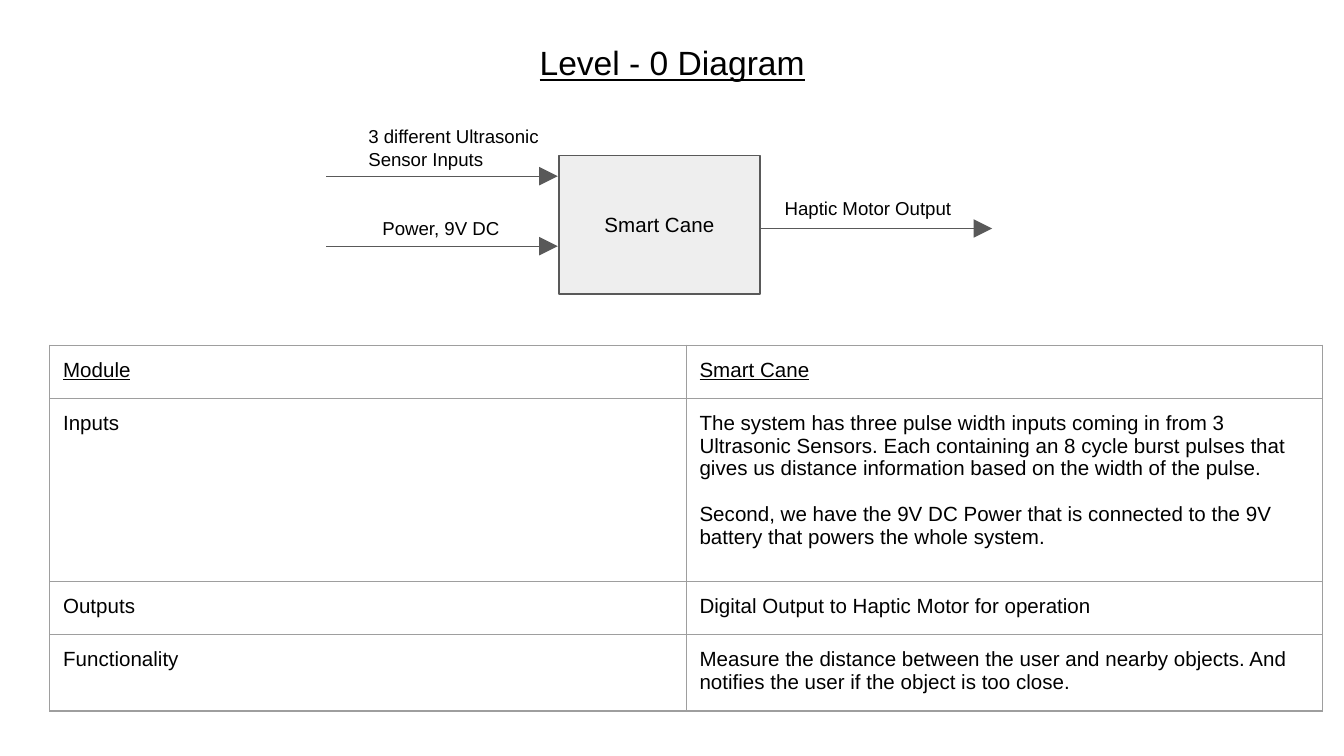
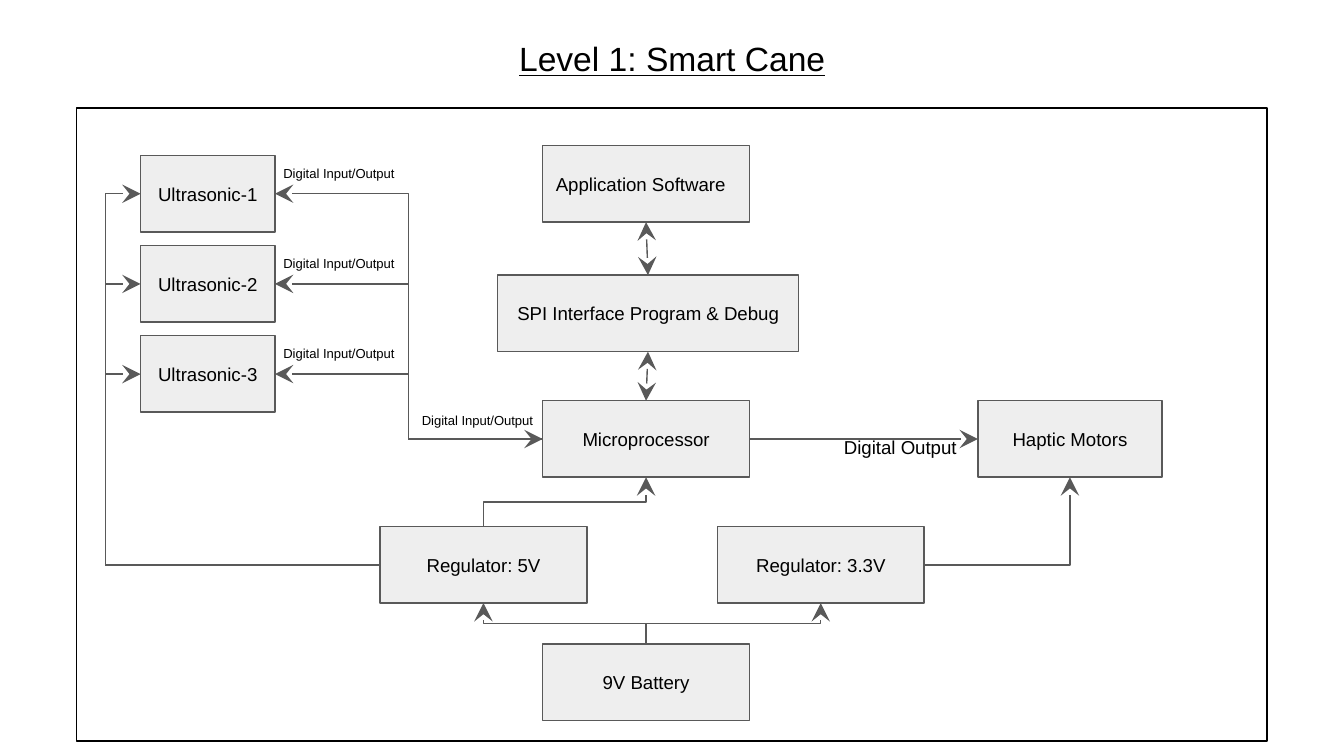
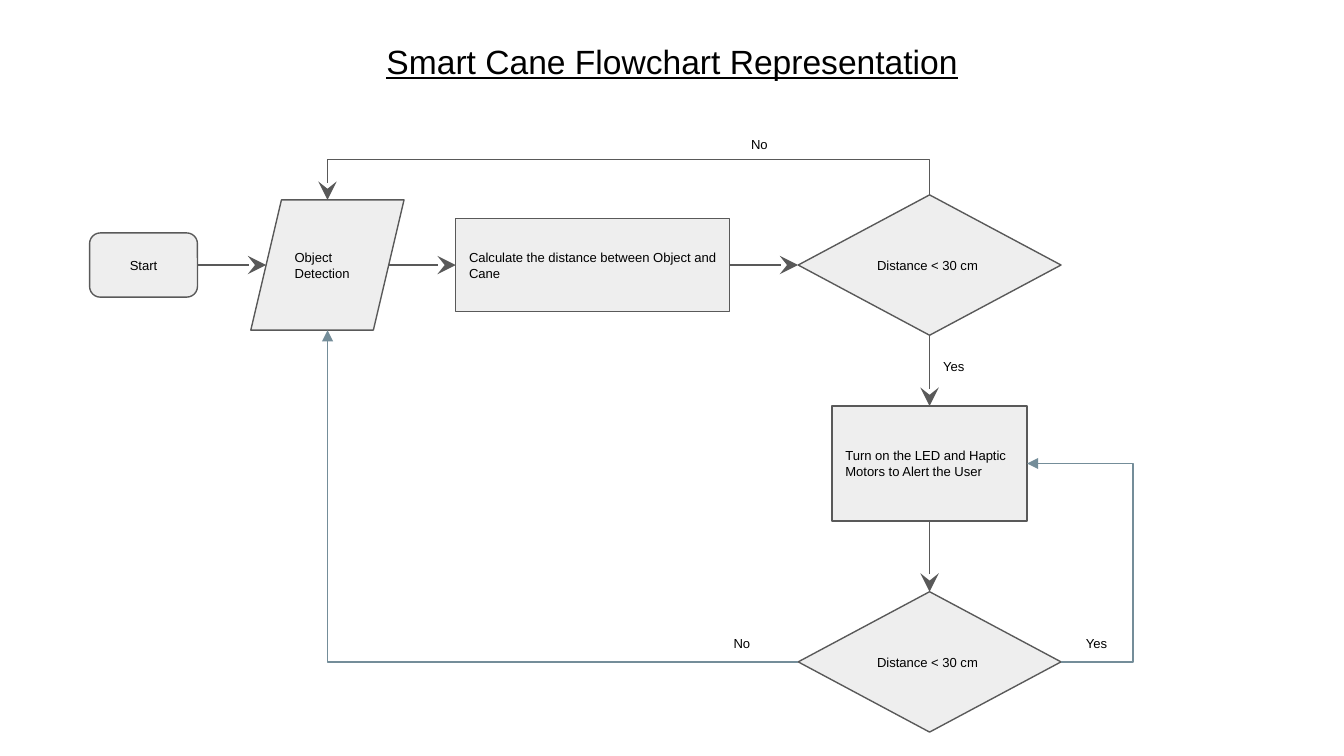
from dataclasses import dataclass
from typing import NamedTuple, Optional

from lxml.etree import SubElement
from pptx import Presentation
from pptx.dml.color import RGBColor
from pptx.enum.shapes import MSO_CONNECTOR, MSO_SHAPE
from pptx.enum.text import MSO_ANCHOR, PP_ALIGN
from pptx.oxml.ns import qn
from pptx.util import Pt

BLACK = RGBColor(0x00, 0x00, 0x00)
LIGHT_GREY = RGBColor(0xEE, 0xEE, 0xEE)
DARK_GREY = RGBColor(0x59, 0x59, 0x59)
BORDER_GREY = RGBColor(0x9E, 0x9E, 0x9E)
SLATE = RGBColor(0x74, 0x8D, 0x99)

FONT = "Arial"
LINE_WIDTH = 0.75
INSET = 7.2
TITLE_LEFT, TITLE_WIDTH, TITLE_HEIGHT = 24.6, 671, 45.4


class Point(NamedTuple):
    """A position in points."""
    x: float
    y: float


class Box(NamedTuple):
    """A rectangle in points."""
    left: float
    top: float
    width: float
    height: float


@dataclass
class Node:
    """A labelled shape with its four connection sites."""
    text: str
    box: Box
    kind: MSO_SHAPE = MSO_SHAPE.RECTANGLE
    align: PP_ALIGN = PP_ALIGN.CENTER
    side_inset: float = 0

    @property
    def middle(self) -> Point:
        """Centre of the shape."""
        return Point(self.box.left + self.box.width / 2, self.box.top + self.box.height / 2)

    @property
    def north(self) -> Point:
        """Middle of the top edge."""
        return Point(self.middle.x, self.box.top)

    @property
    def south(self) -> Point:
        """Middle of the bottom edge."""
        return Point(self.middle.x, self.box.top + self.box.height)

    @property
    def west(self) -> Point:
        """Middle of the left edge."""
        return Point(self.box.left + self.side_inset, self.middle.y)

    @property
    def east(self) -> Point:
        """Middle of the right edge."""
        return Point(self.box.left + self.box.width - self.side_inset, self.middle.y)


@dataclass
class Arrow:
    """Look of a connector."""
    tail: Optional[str] = "stealth"
    head: Optional[str] = None
    color: RGBColor = DARK_GREY
    size: str = "lg"


STEALTH = Arrow()
BOTH_WAYS = Arrow(head="stealth")
BACKWARD = Arrow(tail=None, head="stealth")
TRIANGLE = Arrow(tail="triangle")
RETURN = Arrow(tail="triangle", color=SLATE, size="med")


def write_text(frame, text: str, *, size: float, align=PP_ALIGN.LEFT, underline: bool = False,
               gap: float = 0) -> None:
    """Write one paragraph for each line of the text, with a gap between them."""
    for index, line in enumerate(text.split("\n")):
        paragraph = frame.add_paragraph() if index else frame.paragraphs[0]
        paragraph.alignment = align
        if index:
            paragraph.space_before = Pt(gap)
        run = paragraph.add_run()
        run.text = line
        font = run.font
        font.name, font.size, font.underline = FONT, Pt(size), underline
        font.color.rgb = BLACK


def set_frame(frame, anchor) -> None:
    """Give a text frame its wrapping, anchor and insets."""
    frame.word_wrap = True
    frame.vertical_anchor = anchor
    frame.margin_left = frame.margin_right = Pt(INSET)
    frame.margin_top = frame.margin_bottom = Pt(INSET)


def add_label(slide, text: str, box: Box, *, anchor=MSO_ANCHOR.TOP, **text_format) -> None:
    """Add a text box."""
    shape = slide.shapes.add_textbox(*map(Pt, box))
    set_frame(shape.text_frame, anchor)
    write_text(shape.text_frame, text, **text_format)


def add_title_slide(presentation, title: str, top: float):
    """Add a blank slide with the underlined title."""
    slide = presentation.slides.add_slide(presentation.slide_layouts[6])
    add_label(slide, title, Box(TITLE_LEFT, top, TITLE_WIDTH, TITLE_HEIGHT),
              anchor=MSO_ANCHOR.MIDDLE, size=18, align=PP_ALIGN.CENTER, underline=True)
    return slide


def add_outline(slide, kind, box: Box, color: RGBColor):
    """Add an unfilled, outlined shape."""
    shape = slide.shapes.add_shape(kind, *map(Pt, box))
    shape.shadow.inherit = False
    shape.fill.background()
    shape.line.color.rgb = color
    shape.line.width = Pt(LINE_WIDTH)
    return shape


def add_node(slide, node: Node, size: float) -> None:
    """Draw a node of a diagram."""
    shape = add_outline(slide, node.kind, node.box, DARK_GREY)
    shape.fill.solid()
    shape.fill.fore_color.rgb = LIGHT_GREY
    set_frame(shape.text_frame, MSO_ANCHOR.MIDDLE)
    write_text(shape.text_frame, node.text, size=size, align=node.align)


def style_connector(connector, arrow: Arrow) -> None:
    """Set line, arrowheads and absent shadow of a connector."""
    connector.line.color.rgb = arrow.color
    connector.line.width = Pt(LINE_WIDTH)
    properties = connector._element.spPr
    line = properties.find(qn("a:ln"))
    for tag, kind in (("a:headEnd", arrow.head), ("a:tailEnd", arrow.tail)):
        if kind:
            SubElement(line, qn(tag), type=kind, w=arrow.size, len=arrow.size)
    SubElement(properties, qn("a:effectLst"))


def add_straight(slide, start: Point, end: Point, arrow: Arrow = STEALTH) -> None:
    """Draw a straight arrow."""
    connector = slide.shapes.add_connector(MSO_CONNECTOR.STRAIGHT, *map(Pt, start + end))
    style_connector(connector, arrow)


def add_elbow(slide, start: Point, end: Point, arrow: Arrow = STEALTH, *, vertical: bool = False,
              via: Optional[float] = None, corner: bool = False) -> None:
    """Draw a bent arrow: it leaves along one axis and crosses at via, by default halfway.

    With corner it makes a single turn. The box is laid out unrotated, then
    turned by quarters so that its x axis points from start to end.
    """
    dx, dy = end.x - start.x, end.y - start.y
    along, across = (dy, dx) if vertical else (dx, dy)
    turns = int(vertical) + (2 if along < 0 else 0)
    usual_side = 1 if turns in (0, 3) else -1
    width, height = abs(along), abs(across)
    left = (start.x + end.x - width) / 2
    top = (start.y + end.y - height) / 2
    connector = slide.shapes.add_connector(
        MSO_CONNECTOR.ELBOW, Pt(left), Pt(top), Pt(left + width), Pt(top + height))

    frame = connector._element.spPr.find(qn("a:xfrm"))
    if turns:
        frame.set("rot", str(turns * 5400000))
    if across * usual_side < 0:
        frame.set("flipV", "1")
    geometry = connector._element.spPr.find(qn("a:prstGeom"))
    if corner:
        geometry.set("prst", "bentConnector2")
    elif via is not None:
        origin = start.y if vertical else start.x
        ratio = round((via - origin) / along * 100000)
        SubElement(geometry.find(qn("a:avLst")), qn("a:gd"), name="adj1", fmla=f"val {ratio}")
    style_connector(connector, arrow)


def add_border(cell) -> None:
    """Draw the four borders of a table cell."""
    properties = cell._tc.get_or_add_tcPr()
    for side in ("L", "R", "T", "B"):
        line = SubElement(properties, qn(f"a:ln{side}"), w=str(Pt(LINE_WIDTH)))
        fill = SubElement(line, qn("a:solidFill"))
        SubElement(fill, qn("a:srgbClr"), val=str(BORDER_GREY))


def add_module_table(slide, rows, box: Box, heights) -> None:
    """Add the two-column module table, with an underlined first row."""
    table = slide.shapes.add_table(len(rows), 2, *map(Pt, box)).table
    table.first_row = table.horz_banding = False
    for column in table.columns:
        column.width = Pt(box.width / 2)
    for row_index, (texts, height) in enumerate(zip(rows, heights)):
        table.rows[row_index].height = Pt(height)
        for column_index, text in enumerate(texts):
            cell = table.cell(row_index, column_index)
            add_border(cell)
            cell.fill.background()
            cell.margin_left = cell.margin_right = Pt(INSET)
            cell.margin_top = cell.margin_bottom = Pt(INSET)
            write_text(cell.text_frame, text, size=11, underline=row_index == 0, gap=12.3)


def build_level_0(presentation) -> None:
    """Build the system overview and its module table."""
    slide = add_title_slide(presentation, "Level - 0 Diagram", 10.8)
    cane = Node("Smart Cane", Box(299.5, 83.3, 107.6, 74.2))
    add_node(slide, cane, 11)

    reach = 124
    for y in (94.4, 131.9):
        add_straight(slide, Point(cane.west.x - reach - 0.7, y), Point(cane.west.x - 0.7, y), TRIANGLE)
    add_straight(slide, Point(cane.east.x + 0.4, 122.4), Point(cane.east.x + 0.4 + reach, 122.4), TRIANGLE)

    for text, left, top, width in (
        ("3 different Ultrasonic Sensor Inputs", 190.3, 64.8, 117.4),
        ("Power, 9V DC", 197.8, 113, 85),
        ("Haptic Motor Output", 413.3, 102.2, 112.3),
    ):
        add_label(slide, text, Box(left, top, width, 9.4), size=10)

    rows = (
        ("Module", "Smart Cane"),
        ("Inputs",
         "The system has three pulse width inputs coming in from 3 Ultrasonic Sensors. Each "
         "containing an 8 cycle burst pulses that gives us distance information based on the "
         "width of the pulse.\n"
         "Second, we have the 9V DC Power that is connected to the 9V battery that powers the "
         "whole system."),
        ("Outputs", "Digital Output to Haptic Motor for operation"),
        ("Functionality",
         "Measure the distance between the user and nearby objects. And notifies the user if "
         "the object is too close."),
    )
    add_module_table(slide, rows, Box(26.6, 185, 682, 195.8), (28.4, 98.3, 28.4, 28.4))


def build_level_1(presentation) -> None:
    """Build the block diagram."""
    slide = add_title_slide(presentation, "Level 1: Smart Cane", 8.6)
    add_outline(slide, MSO_SHAPE.RECTANGLE, Box(41, 57.8, 637.9, 339.1), BLACK)

    width, height, column = 110.8, 41, 290.7
    sensor_top, sensor_step = 83.3, 48.3
    software = Node("Application Software", Box(column, 78, width, height), align=PP_ALIGN.LEFT)
    interface = Node("SPI Interface Program & Debug", Box(266.5, 147.4, 161.3, height))
    processor = Node("Microprocessor", Box(column, 214.7, width, height))
    regulator_5 = Node("Regulator: 5V", Box(203.6, 282.1, width, height))
    regulator_3 = Node("Regulator: 3.3V", Box(384.3, 282.1, width, height))
    battery = Node("9V Battery", Box(column, 345, width, height))
    motors = Node("Haptic Motors", Box(523.9, 214.7, 98.6, height))
    sensors = [Node(f"Ultrasonic-{i + 1}", Box(75.3, sensor_top + sensor_step * i, 72, height))
               for i in range(3)]
    for node in (software, interface, processor, regulator_5, regulator_3, battery, motors, *sensors):
        add_node(slide, node, 10)

    add_straight(slide, software.south, interface.north, BOTH_WAYS)
    add_straight(slide, interface.south, processor.north, BOTH_WAYS)
    add_straight(slide, processor.east, motors.west)
    for regulator in (regulator_5, regulator_3):
        add_elbow(slide, battery.north, regulator.south, vertical=True)
    add_elbow(slide, regulator_5.north, processor.south, vertical=True)
    add_elbow(slide, regulator_3.east, motors.south, corner=True)
    for index, sensor in enumerate(sensors):
        add_elbow(slide, sensor.east, processor.west, BACKWARD if index else BOTH_WAYS)
        add_elbow(slide, regulator_5.west, sensor.west, via=56.6)
        add_label(slide, "Digital Input/Output",
                  Box(144.7, sensor_top + 1 + sensor_step * index, 114.5, 28), size=7)
    add_label(slide, "Digital Input/Output", Box(218.9, 216.8, 114.5, 28), size=7)
    add_label(slide, "Digital Output", Box(445, 227.5, 114.5, 28), size=10)


def build_flowchart(presentation) -> None:
    """Build the flowchart."""
    slide = add_title_slide(presentation, "Smart Cane Flowchart Representation", 10.1)
    left = PP_ALIGN.LEFT
    start = Node("Start", Box(48, 124.8, 57.8, 34.4), MSO_SHAPE.ROUNDED_RECTANGLE)
    detection = Node("Object Detection", Box(134.4, 107.1, 82.1, 69.8),
                     MSO_SHAPE.FLOWCHART_DATA, left, side_inset=8.2)
    distance = Node("Calculate the distance between Object and Cane",
                    Box(244.2, 117.1, 146.6, 49.8), align=left)
    check = Node("Distance < 30 cm", Box(427.6, 104.4, 140.8, 75.2), MSO_SHAPE.DIAMOND, left)
    alert = Node("Turn on the LED and Haptic Motors to Alert the User",
                 Box(445.8, 217.5, 104.4, 61.6), align=left)
    recheck = Node("Distance < 30 cm", Box(427.6, 317, 140.8, 75.2), MSO_SHAPE.DIAMOND, left)
    for node in (start, detection, distance, check, alert, recheck):
        add_node(slide, node, 7)

    add_straight(slide, start.east, detection.west)
    add_straight(slide, detection.east, distance.west)
    add_straight(slide, distance.east, check.west)
    add_straight(slide, check.south, alert.north)
    add_straight(slide, alert.south, recheck.north)
    add_elbow(slide, check.north, detection.north, vertical=True, via=85.5)
    add_elbow(slide, recheck.east, alert.east, RETURN, via=607)
    add_elbow(slide, recheck.west, detection.south, RETURN, corner=True)

    for text, x, y in (("No", 395.3, 69.1), ("Yes", 498.2, 187.9),
                       ("Yes", 574.6, 336.2), ("No", 385.9, 336.2)):
        add_label(slide, text, Box(x, y, 28.1, 10.8), size=7)


def main() -> None:
    """Build and save the presentation."""
    presentation = Presentation()
    presentation.slide_width, presentation.slide_height = Pt(720), Pt(405)
    build_level_0(presentation)
    build_level_1(presentation)
    build_flowchart(presentation)
    presentation.save("out.pptx")


main()
